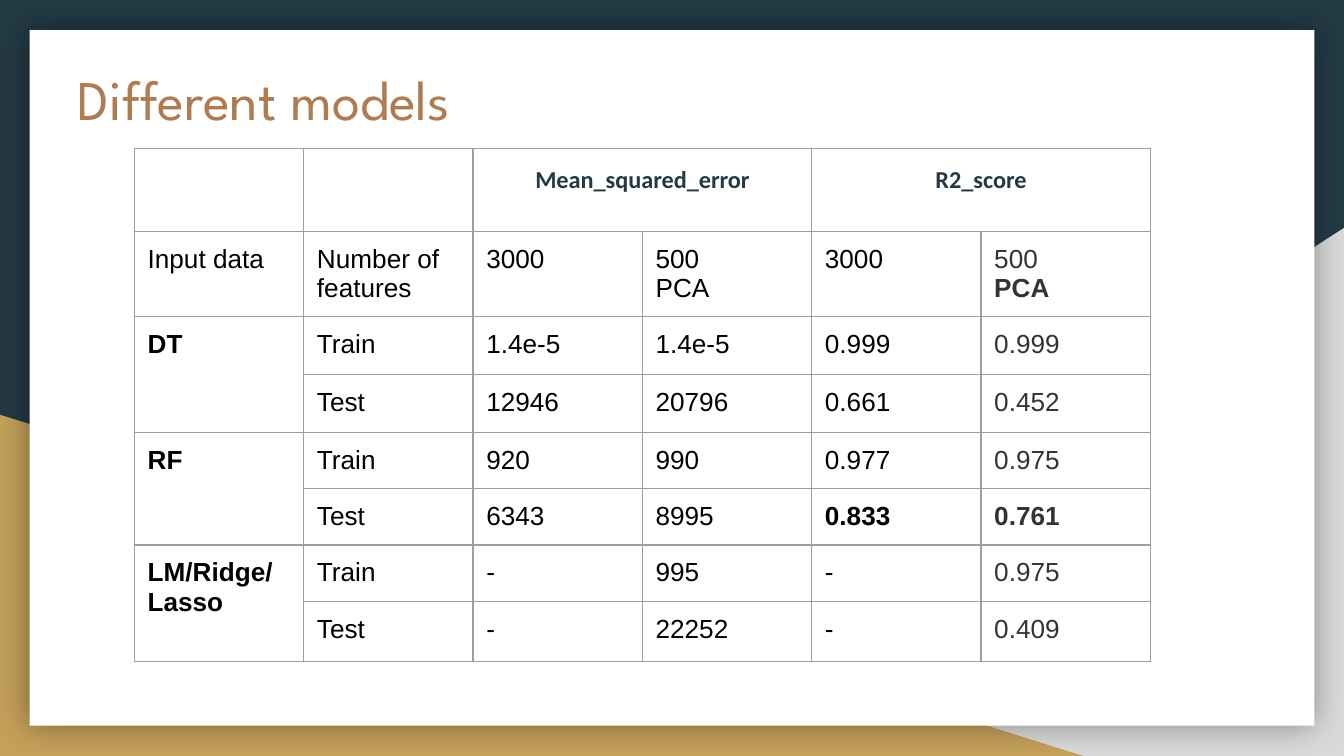
import dataclasses

import lxml.etree
import pptx
import pptx.dml.color
import pptx.enum.shapes
import pptx.enum.text
import pptx.oxml
import pptx.oxml.ns
import pptx.util

Cm = pptx.util.Cm
Pt = pptx.util.Pt
Shapes = pptx.enum.shapes.MSO_SHAPE


@dataclasses.dataclass(frozen=True)
class Theme:
    """Colours, fonts and type sizes of the deck."""
    navy: str = "233A44"
    grey: str = "D9D9D9"
    gold: str = "C4A15A"
    white: str = "FFFFFF"
    copper: str = "AF7B51"
    black: str = "000000"
    charcoal: str = "333333"
    border: str = "9E9E9E"
    title_font: str = "League Spartan"
    header_font: str = "Calibri"
    body_font: str = "Arial"
    title_size: int = 30
    header_size: int = 13
    body_size: int = 14
    margin: float = 0.25


THEME = Theme()
ROW_HEIGHTS = (1.57, 1.6, 1.1, 1.1, 1.06, 1.06, 1.07, 1.14)
ROWS = (
    ("", "", "Mean_squared_error", "", "R2_score", ""),
    ("Input data", "Number of features", "3000", "500\nPCA", "3000", "500\nPCA"),
    ("DT", "Train", "1.4e-5", "1.4e-5", "0.999", "0.999"),
    ("", "Test", "12946", "20796", "0.661", "0.452"),
    ("RF", "Train", "920", "990", "0.977", "0.975"),
    ("", "Test", "6343", "8995", "0.833", "0.761"),
    ("LM/Ridge/Lasso", "Train", "-", "995", "-", "0.975"),
    ("", "Test", "-", "22252", "-", "0.409"),
)
BEST_SCORES = ("0.833", "0.761")


def rgb(value):
    """Return a colour object for a hex value."""
    return pptx.dml.color.RGBColor.from_string(value)


def set_font(font, name, size, colour, bold=False):
    """Set the face, size, colour and weight of a font."""
    font.name, font.size, font.bold = name, Pt(size), bold
    font.color.rgb = rgb(colour)


def set_margins(target):
    """Give a cell or text frame equal insets."""
    for side in ("left", "top", "right", "bottom"):
        setattr(target, f"margin_{side}", Cm(THEME.margin))


def add_panel(page, kind, box, colour):
    """Add a plain filled shape in the given box."""
    shape = page.shapes.add_shape(kind, *map(Cm, box))
    shape.shadow.inherit = False
    shape.fill.solid()
    shape.fill.fore_color.rgb = rgb(colour)
    shape.line.fill.background()
    return shape


def add_glow(shape):
    """Give a shape a soft dark shadow on all sides."""
    effects = shape._element.spPr.find(pptx.oxml.ns.qn("a:effectLst"))
    effects.append(pptx.oxml.parse_xml(
        f'<a:outerShdw {pptx.oxml.ns.nsdecls("a")} blurRad="{Pt(18)}" dist="0" '
        f'algn="ctr" rotWithShape="0"><a:srgbClr val="{THEME.black}">'
        '<a:alpha val="40000"/></a:srgbClr></a:outerShdw>'))


def add_backdrop(page, box):
    """Fill the page and place two corner triangles under a white card."""
    left, top, width, height = box
    right, bottom = left + width, top + height
    page.background.fill.solid()
    page.background.fill.fore_color.rgb = rgb(THEME.navy)
    corner = add_panel(page, Shapes.RIGHT_TRIANGLE,
                       (right - 15.44, bottom - 9.98, 15.44, 9.98), THEME.grey)
    corner._element.spPr.xfrm.set("flipH", "1")
    add_panel(page, Shapes.RIGHT_TRIANGLE, (left, bottom - 6.45, 20.47, 6.45), THEME.gold)
    card = add_panel(page, Shapes.RECTANGLE,
                     (left + 0.56, top + 0.57, width - 1.12, height - 1.14), THEME.white)
    add_glow(card)


def add_title(page, box, text):
    """Place the slide title in the given box."""
    frame = page.shapes.add_textbox(*map(Cm, box)).text_frame
    frame.word_wrap = True
    set_margins(frame)
    frame.text = text
    set_font(frame.paragraphs[0].font, THEME.title_font, THEME.title_size, THEME.copper)


def add_borders(cell):
    """Draw a thin line on each side of a cell."""
    properties = cell._tc.get_or_add_tcPr()
    for side in "LRTB":
        line = lxml.etree.SubElement(
            properties, pptx.oxml.ns.qn(f"a:ln{side}"), w=str(Pt(0.75)))
        fill = lxml.etree.SubElement(line, pptx.oxml.ns.qn("a:solidFill"))
        lxml.etree.SubElement(fill, pptx.oxml.ns.qn("a:srgbClr"), val=THEME.border)


def style_cell(cell, row, column):
    """Format a cell by its place in the table."""
    set_margins(cell)
    add_borders(cell)
    cell.fill.background()
    for para in cell.text_frame.paragraphs:
        if row == 0:
            para.alignment = pptx.enum.text.PP_ALIGN.CENTER
            para.line_spacing = 1.15
            para.space_after = Pt(12)
            set_font(para.font, THEME.header_font, THEME.header_size, THEME.navy, True)
            continue
        bold = (row > 1 and column == 0 or para.text in BEST_SCORES
                or column == 5 and para.text == "PCA")
        colour = THEME.charcoal if column == 5 else THEME.black
        set_font(para.font, THEME.body_font, THEME.body_size, colour, bold)


def add_score_table(page, box):
    """Place the table of model scores in the given box."""
    frame = page.shapes.add_table(len(ROWS), len(ROWS[0]), *map(Cm, box))
    table = frame.table
    table.first_row = table.horz_banding = False
    for column in table.columns:
        column.width = Cm(box[2] / len(ROWS[0]))
    for row, height in zip(table.rows, ROW_HEIGHTS):
        row.height = Cm(height)
    for row, texts in enumerate(ROWS):
        for column, text in enumerate(texts):
            cell = table.cell(row, column)
            cell.text = text
            style_cell(cell, row, column)
    for column in (2, 4):
        table.cell(0, column).merge(table.cell(0, column + 1))
    for row in (2, 4, 6):
        table.cell(row, 0).merge(table.cell(row + 1, 0))


def main():
    """Build and save the deck."""
    deck = pptx.Presentation()
    deck.slide_width, deck.slide_height = Cm(25.4), Cm(14.29)
    page = deck.slides.add_slide(deck.slide_layouts[6])
    add_backdrop(page, (0, 0, 25.4, 14.29))
    add_score_table(page, (2.54, 2.8, 19.2, sum(ROW_HEIGHTS)))
    add_title(page, (1.22, 0.97, 22.2, 2.64), "Different models")
    deck.save("out.pptx")


if __name__ == "__main__":
    main()
